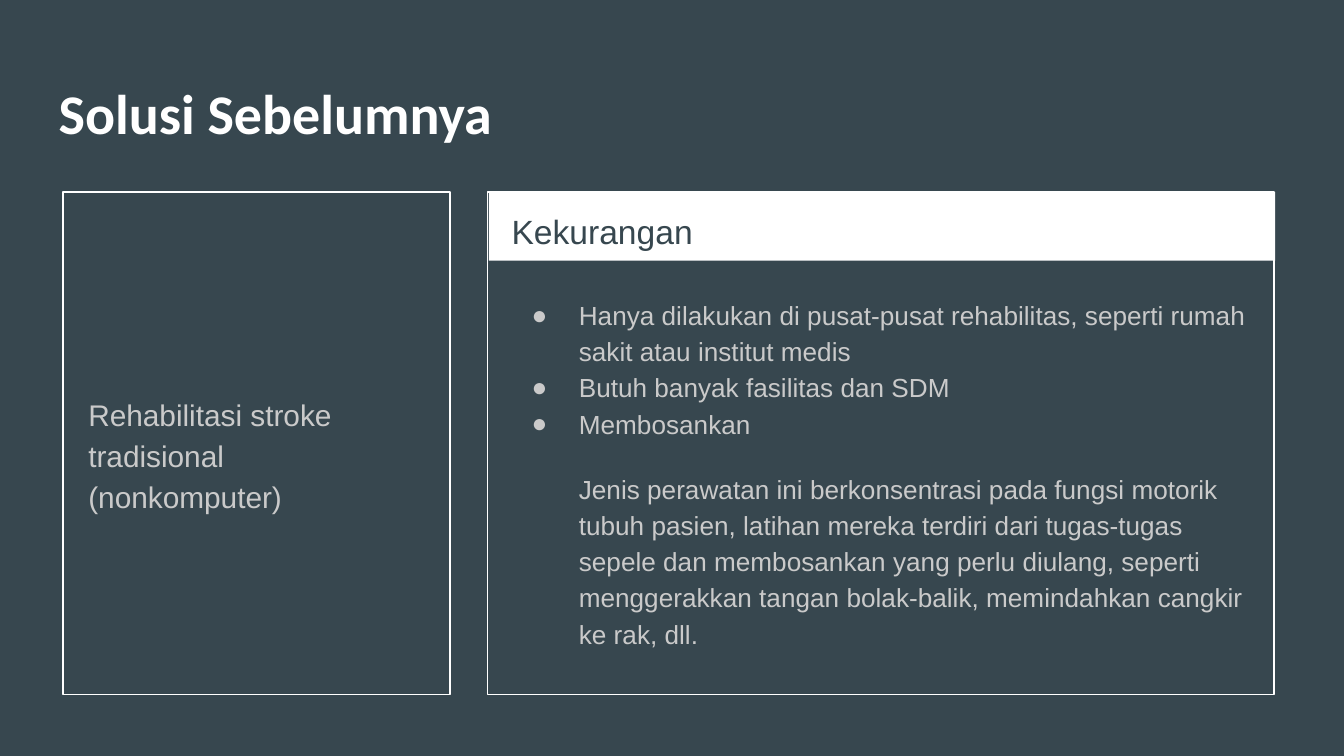
from lxml import etree
from pptx import Presentation
from pptx.dml.color import RGBColor
from pptx.enum import shapes, text
from pptx.oxml.ns import qn
from pptx.util import Cm, Pt

SLATE = RGBColor(0x37, 0x47, 0x4F)
WHITE = RGBColor(0xFF, 0xFF, 0xFF)
GREY = RGBColor(0xCA, 0xCA, 0xCA)

INSET = Cm(0.25)
PANEL_TOP, PANEL_HEIGHT = 3.63, 9.5
RIGHT_LEFT, RIGHT_WIDTH = 9.22, 14.86
RIGHT_TEXT_LEFT = 9.42

DRAWBACKS = [
    "Hanya dilakukan di pusat-pusat rehabilitas, seperti rumah sakit atau institut medis",
    "Butuh banyak fasilitas dan SDM",
    "Membosankan",
]
EXPLANATION = (
    "Jenis perawatan ini berkonsentrasi pada fungsi motorik tubuh pasien, "
    "latihan mereka terdiri dari tugas-tugas sepele dan membosankan yang perlu "
    "diulang, seperti menggerakkan tangan bolak-balik, memindahkan cangkir ke rak, dll."
)


def add_panel(slide, left, top, width, height, fill=None):
    """Draw a filled bar, or a white outline when no fill is given."""
    sp = slide.shapes.add_shape(
        shapes.MSO_SHAPE.RECTANGLE, Cm(left), Cm(top), Cm(width), Cm(height))
    sp.shadow.inherit = False
    if fill is None:
        sp.fill.background()
        sp.line.color.rgb = WHITE
        sp.line.width = Pt(0.75)
    else:
        sp.fill.solid()
        sp.fill.fore_color.rgb = fill
        sp.line.fill.background()


def add_text(slide, box, lines, size, color, font="Arial", bold=False, spacing=1.15):
    """Add a text box with one paragraph per line and return the paragraphs."""
    tf = slide.shapes.add_textbox(*(Cm(v) for v in box)).text_frame
    tf.word_wrap = True
    tf.vertical_anchor = text.MSO_ANCHOR.TOP
    tf.margin_left = tf.margin_right = tf.margin_top = tf.margin_bottom = INSET
    tf.text = "\n".join(lines)
    for p in tf.paragraphs:
        p.line_spacing = spacing
        for r in p.runs:
            r.font.name = font
            r.font.size = Pt(size)
            r.font.bold = bold
            r.font.color.rgb = color
    return tf.paragraphs


def indent(p, bullet=None):
    pPr = p._p.get_or_add_pPr()
    pPr.set("marL", str(Cm(1.27)))
    pPr.set("indent", str(-Cm(0.89) if bullet else 0))
    if bullet:
        color = etree.SubElement(pPr, qn("a:buClr"))
        etree.SubElement(color, qn("a:srgbClr"), val=str(GREY))
        etree.SubElement(pPr, qn("a:buFont"), typeface="Arial")
        etree.SubElement(pPr, qn("a:buChar"), char=bullet)


def add_drawbacks(slide):
    *bullets, explanation = add_text(
        slide, (RIGHT_TEXT_LEFT, 5.33, 14.43, 7.57), DRAWBACKS + [EXPLANATION], 14, GREY)
    for p in bullets:
        indent(p, "●")
    indent(explanation)
    explanation.space_before = Pt(16)


def main():
    prs = Presentation()
    prs.slide_width, prs.slide_height = Cm(25.4), Cm(14.29)
    slide = prs.slides.add_slide(prs.slide_layouts[6])
    slide.background.fill.solid()
    slide.background.fill.fore_color.rgb = SLATE

    add_text(slide, (0.86, 1.24, 23.67, 1.6), ["Solusi Sebelumnya"], 30, WHITE,
             font="Calibri", bold=True, spacing=1.0)

    add_panel(slide, 1.19, PANEL_TOP, 7.32, PANEL_HEIGHT)
    add_text(slide, (1.42, 7.14, 6.88, 5.77),
             ["Rehabilitasi stroke tradisional (nonkomputer)"], 16, GREY)

    add_panel(slide, RIGHT_LEFT + 0.02, PANEL_TOP, RIGHT_WIDTH, 1.3, fill=WHITE)
    add_panel(slide, RIGHT_LEFT, PANEL_TOP, RIGHT_WIDTH, PANEL_HEIGHT)
    add_text(slide, (RIGHT_TEXT_LEFT, PANEL_TOP, 6.93, 1.27), ["Kekurangan"], 18, SLATE)
    add_drawbacks(slide)

    prs.save("out.pptx")


if __name__ == "__main__":
    main()
